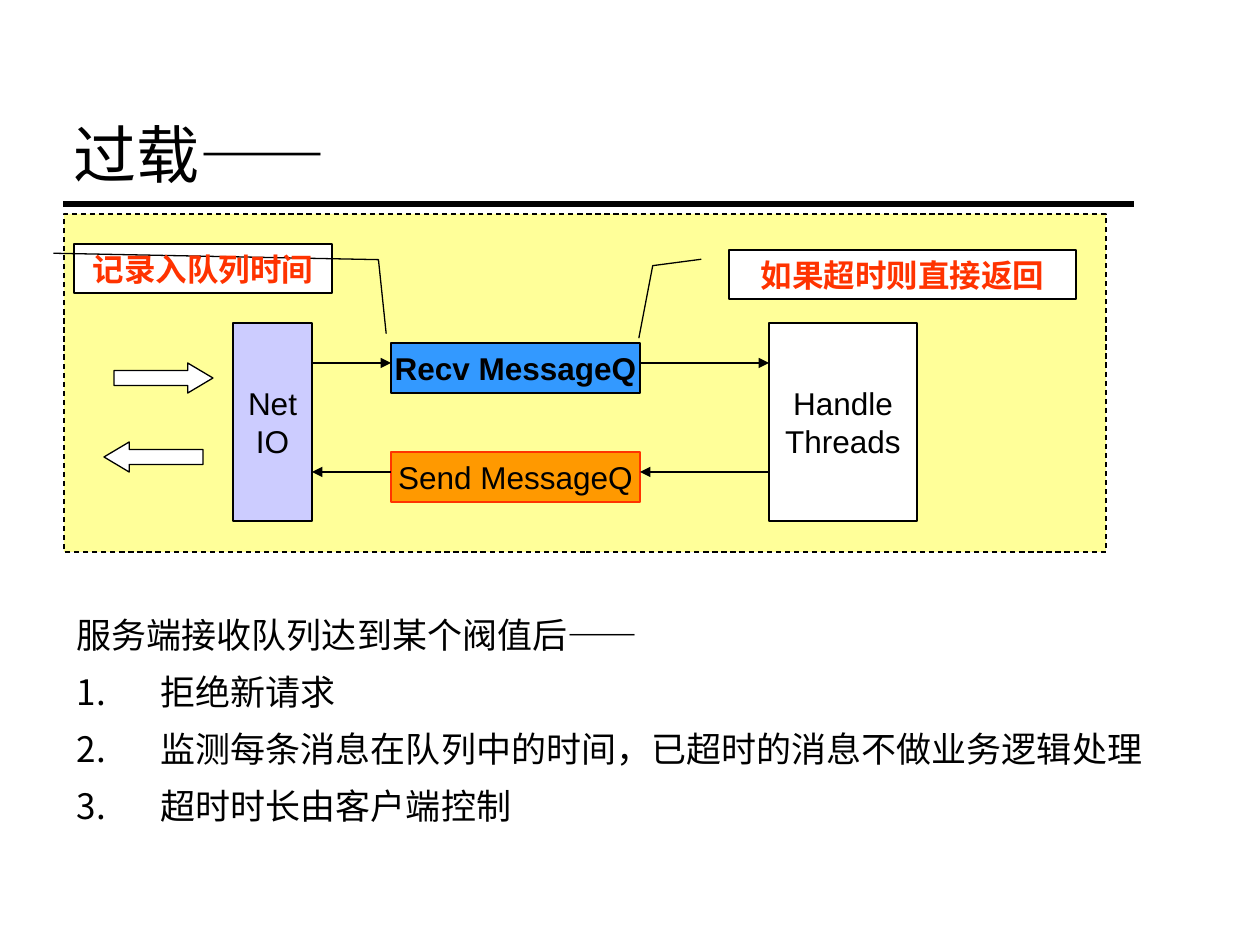
from lxml import etree
from pptx import Presentation
from pptx.dml.color import RGBColor
from pptx.enum.dml import MSO_LINE
from pptx.enum.shapes import MSO_CONNECTOR, MSO_SHAPE
from pptx.enum.text import MSO_ANCHOR, MSO_AUTO_SIZE, PP_ALIGN
from pptx.oxml.ns import qn
from pptx.util import Pt

PX = 914400 / 126
RECT, CALLOUT = MSO_SHAPE.RECTANGLE, MSO_SHAPE.LINE_CALLOUT_2
RIGHT_ARROW, LEFT_ARROW = MSO_SHAPE.RIGHT_ARROW, MSO_SHAPE.LEFT_ARROW
STRAIGHT = MSO_CONNECTOR.STRAIGHT
LEFT, CENTER = PP_ALIGN.LEFT, PP_ALIGN.CENTER
TOP, MIDDLE, BOTTOM = MSO_ANCHOR.TOP, MSO_ANCHOR.MIDDLE, MSO_ANCHOR.BOTTOM

COLORS = {
    "black": "000000", "white": "FFFFFF", "panel": "FFFF99", "net": "CCCCFF",
    "recv": "3399FF", "send": "FF9900", "red": "FF3300",
}


def color(name):
    return RGBColor.from_string(COLORS[name])


def emu(*lengths):
    return [round(length * PX) for length in lengths]


class SlideBuilder:
    heading_font = "Times New Roman"
    label_font = "Arial"
    label_size = 18
    thin = 0.75

    def __init__(self, page):
        self.page = page

    def format_text(self, frame, font, size, ink="black", bold=False, align=LEFT):
        for para in frame.paragraphs:
            para.alignment = align
            for span in para.runs:
                span.font.name = font
                span.font.size = Pt(size)
                span.font.bold = bold
                span.font.color.rgb = color(ink)

    def placeholder(self, holder, area, text, size, anchor):
        holder.left, holder.top, holder.width, holder.height = emu(*area)
        frame = holder.text_frame
        frame.text = text
        frame.word_wrap = True
        frame.auto_size = MSO_AUTO_SIZE.NONE
        frame.vertical_anchor = anchor
        self.format_text(frame, self.heading_font, size)
        return frame

    def title(self, area, text):
        self.placeholder(self.page.shapes.title, area, text, 36, BOTTOM)

    def numbered_list(self, area, intro, items):
        text = "\n".join([intro, *items])
        frame = self.placeholder(self.page.placeholders[1], area, text, 20, TOP)
        indent = emu(84)[0]
        for index, para in enumerate(frame.paragraphs):
            para.line_spacing = 1.15
            para.space_before = Pt(5)
            props = para._p.get_or_add_pPr()
            props.set("marL", str(indent))
            props.set("indent", str(-indent))
            if index:
                etree.SubElement(props, qn("a:buFont"), typeface=self.heading_font)
                etree.SubElement(props, qn("a:buAutoNum"), type="arabicPeriod")
            else:
                etree.SubElement(props, qn("a:buNone"))

    def shape(self, kind, area, fill="white", line="black", adjust=()):
        shape = self.page.shapes.add_shape(kind, *emu(*area))
        shape.shadow.inherit = False
        shape.fill.solid()
        shape.fill.fore_color.rgb = color(fill)
        shape.line.color.rgb = color(line)
        shape.line.width = Pt(self.thin)
        for index, value in enumerate(adjust):
            shape.adjustments[index] = value
        return shape

    def panel(self, area):
        self.shape(RECT, area, "panel").line.dash_style = MSO_LINE.DASH

    def label(self, shape, text, anchor=MIDDLE, wrap=False, ink="black", bold=False):
        frame = shape.text_frame
        frame.text = text
        frame.word_wrap = wrap
        frame.vertical_anchor = anchor
        self.format_text(frame, self.label_font, self.label_size, ink, bold, CENTER)

    def box(self, area, text, fill, line="black", bold=False):
        self.label(self.shape(RECT, area, fill, line), text, bold=bold)

    def callout(self, area, text, leader):
        shape = self.shape(CALLOUT, area, adjust=leader)
        self.label(shape, text, TOP, True, "red", True)

    def line(self, start, end, width=thin, arrow=False):
        connector = self.page.shapes.add_connector(STRAIGHT, *emu(*start, *end))
        connector.line.color.rgb = color("black")
        connector.line.width = Pt(width)
        etree.SubElement(connector._element.spPr, qn("a:effectLst"))
        if arrow:
            outline = connector.line._get_or_add_ln()
            etree.SubElement(outline, qn("a:tailEnd"), type="triangle")


def main():
    deck = Presentation()
    deck.slide_width, deck.slide_height = emu(1260, 945)
    builder = SlideBuilder(deck.slides.add_slide(deck.slide_layouts[1]))

    builder.panel((64, 214, 1042, 338))
    builder.line((63, 204), (1134, 204), width=3)
    builder.title((61, 116, 1136, 81), "过载——")
    builder.numbered_list((64, 601, 1092, 277), "服务端接收队列达到某个阀值后——", [
        "拒绝新请求",
        "监测每条消息在队列中的时间，已超时的消息不做业务逻辑处理",
        "超时时长由客户端控制",
    ])

    net_left, net_right = 233, 312
    queue_left, queue_right = 391, 640
    handle_left, handle_right = 769, 917
    stage_top, stage_height = 323, 198
    queue_width, queue_height = queue_right - queue_left, 50
    builder.box((net_left, stage_top, net_right - net_left, stage_height),
                "Net\nIO", "net")
    builder.box((queue_left, 343, queue_width, queue_height),
                "Recv MessageQ", "recv", bold=True)
    builder.box((queue_left, 452, queue_width, queue_height),
                "Send MessageQ", "send", "red")
    builder.box((handle_left, stage_top, handle_right - handle_left, stage_height),
                "Handle\nThreads", "white")

    recv_y, send_y = 363, 472
    for left, right in ((queue_right, handle_left), (net_right, queue_left)):
        builder.line((left, recv_y), (right, recv_y), arrow=True)
        builder.line((right, send_y), (left, send_y), arrow=True)

    builder.shape(RIGHT_ARROW, (114, 363, 99, 30), adjust=(0.5, 0.84))
    builder.shape(LEFT_ARROW, (104, 442, 99, 30), adjust=(0.5, 0.84))

    builder.callout((729, 250, 347, 49), "如果超时则直接返回",
                    (0.19, -0.08, 0.32, -0.22, 1.8, -0.26))
    builder.callout((74, 244, 258, 49), "记录入队列时间",
                    (0.19, -0.08, 0.32, 1.18, 1.83, 1.21))

    deck.save("out.pptx")


if __name__ == "__main__":
    main()
